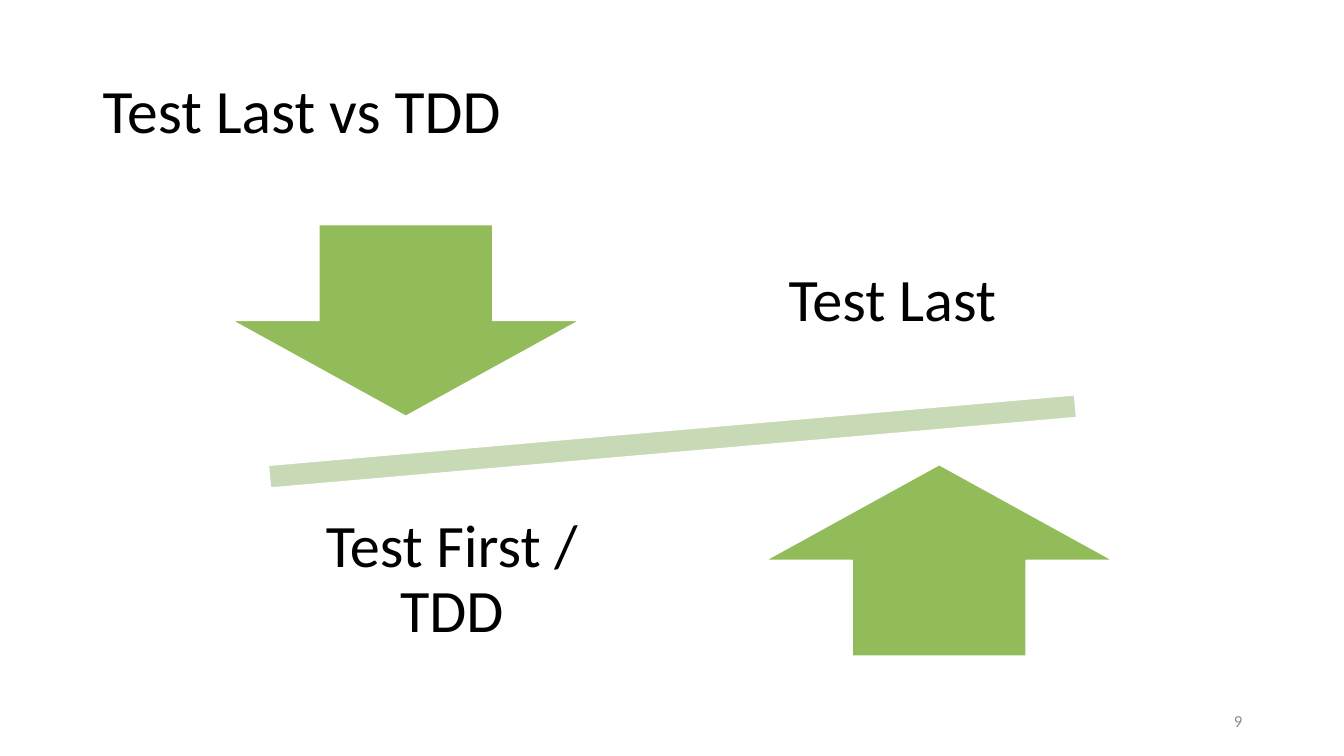
from dataclasses import dataclass

from pptx import Presentation
from pptx.dml.color import RGBColor
from pptx.enum.shapes import MSO_SHAPE as Shape
from pptx.enum.text import MSO_ANCHOR as Anchor, PP_ALIGN as Align
from pptx.slide import Slide
from pptx.util import Inches, Pt

COLORS = {
    "text": "000000",
    "number": "8C8C8C",
    "arrow": "92BC5A",
    "beam": "C7DAB5",
    "outline": "FFFFFF",
}


@dataclass(frozen=True)
class Box:
    left: float
    top: float
    width: float
    height: float

    def lengths(self) -> list[int]:
        return [Inches(n) for n in (self.left, self.top, self.width, self.height)]


@dataclass(frozen=True)
class Figure:
    box: Box
    preset: Shape
    color: str
    rotation: float = 0


@dataclass(frozen=True)
class Label:
    box: Box
    text: str
    size: float
    align: Align
    color: str = "text"
    line_spacing: float = 0.9
    side_inset: float = 0.1
    end_inset: float = 0.05


def seesaw_label(left: float, top: float, text: str) -> Label:
    return Label(Box(left, top, 3.68, 2), text, 43, Align.CENTER,
                 side_inset=0.33, end_inset=0.33)


FIGURES = [
    Figure(Box(1.21, 3.9, 10.92, 0.96), Shape.MATH_MINUS, "beam", 355),
    Figure(Box(2.3, 2.23, 3.45, 1.9), Shape.DOWN_ARROW, "arrow"),
    Figure(Box(7.59, 4.61, 3.45, 1.9), Shape.UP_ARROW, "arrow"),
]

LABELS = [
    Label(Box(0.92, 0.4, 11.5, 1.45), "Test Last vs TDD", 44, Align.LEFT),
    seesaw_label(7.01, 2, "Test Last"),
    seesaw_label(2.64, 4.76, "Test First / TDD"),
    Label(Box(9.42, 6.95, 3, 0.4), "9", 12, Align.RIGHT, "number", 1.0),
]


def rgb(name: str) -> RGBColor:
    return RGBColor.from_string(COLORS[name])


def draw_figure(slide: Slide, figure: Figure) -> None:
    shape = slide.shapes.add_shape(figure.preset, *figure.box.lengths())
    shape.rotation = figure.rotation
    shape.shadow.inherit = False
    shape.fill.solid()
    shape.fill.fore_color.rgb = rgb(figure.color)
    shape.line.color.rgb = rgb("outline")
    shape.line.width = Pt(1)


def draw_label(slide: Slide, label: Label) -> None:
    frame = slide.shapes.add_textbox(*label.box.lengths()).text_frame
    frame.word_wrap = True
    frame.vertical_anchor = Anchor.MIDDLE
    frame.margin_left = frame.margin_right = Inches(label.side_inset)
    frame.margin_top = frame.margin_bottom = Inches(label.end_inset)
    paragraph = frame.paragraphs[0]
    paragraph.alignment = label.align
    paragraph.line_spacing = label.line_spacing
    run = paragraph.add_run()
    run.text = label.text
    run.font.name = "Calibri"
    run.font.size = Pt(label.size)
    run.font.color.rgb = rgb(label.color)


def main() -> None:
    deck = Presentation()
    deck.slide_width, deck.slide_height = Inches(13.33), Inches(7.5)
    slide = deck.slides.add_slide(deck.slide_layouts[6])
    for figure in FIGURES:
        draw_figure(slide, figure)
    for label in LABELS:
        draw_label(slide, label)
    deck.save("out.pptx")


if __name__ == "__main__":
    main()
